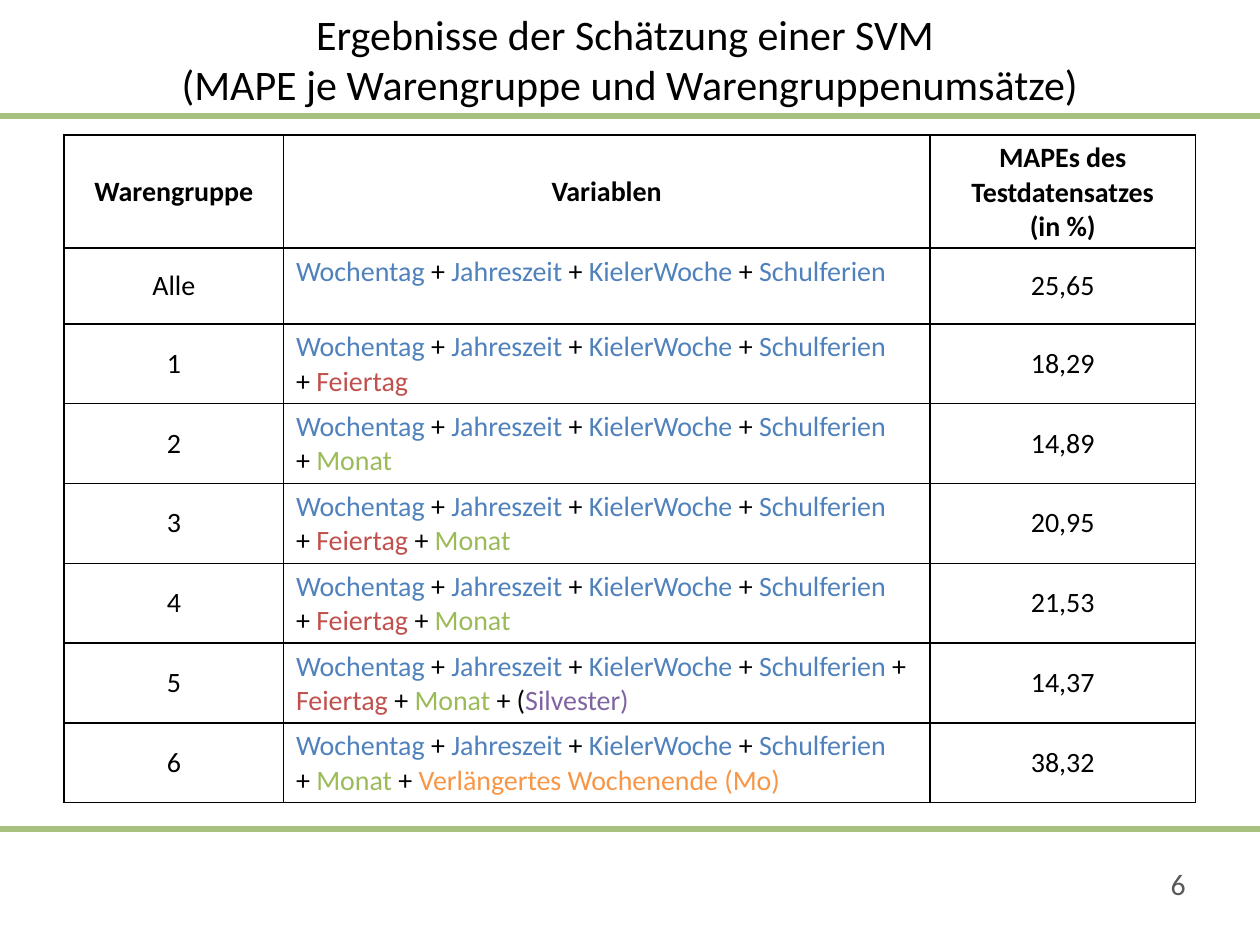
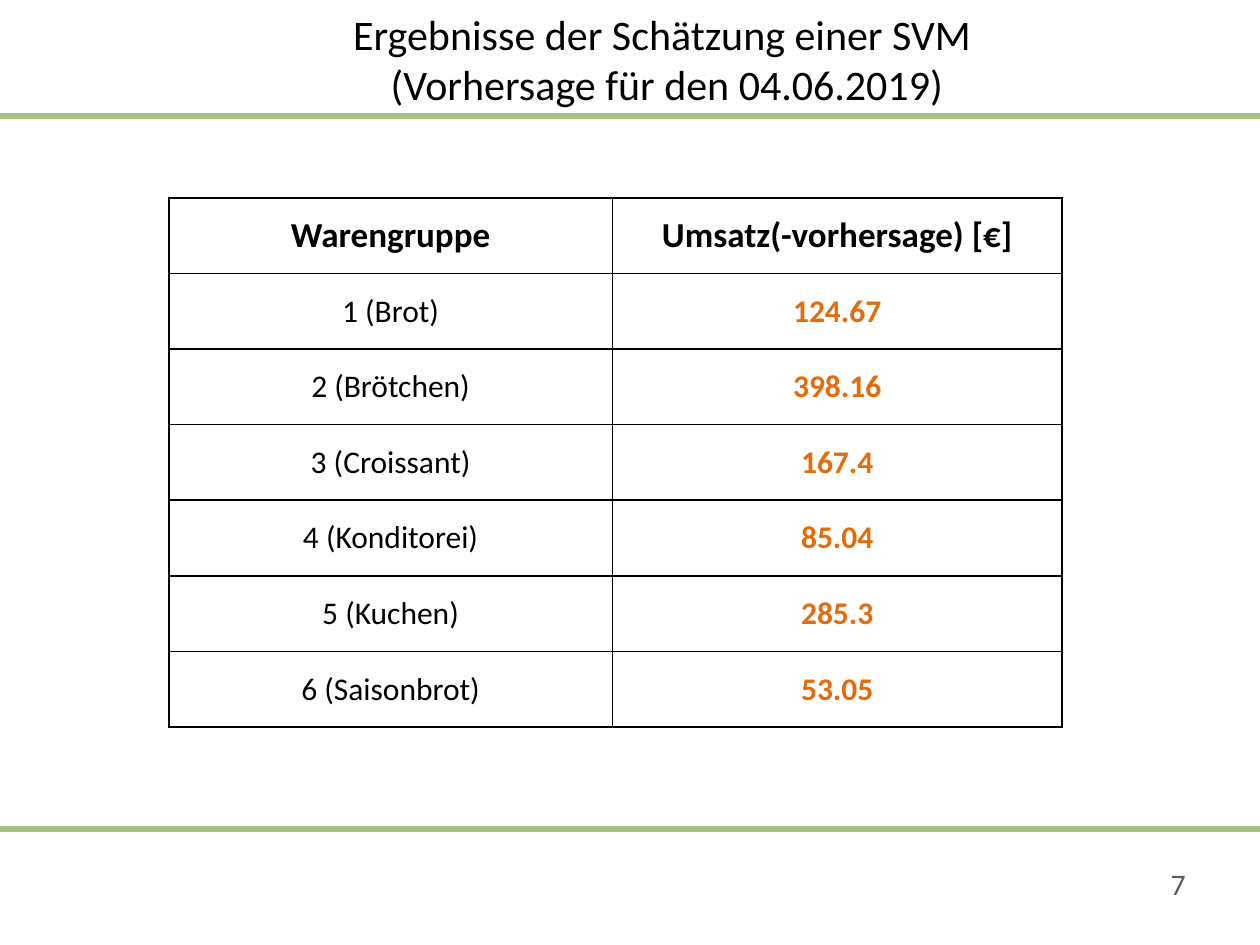
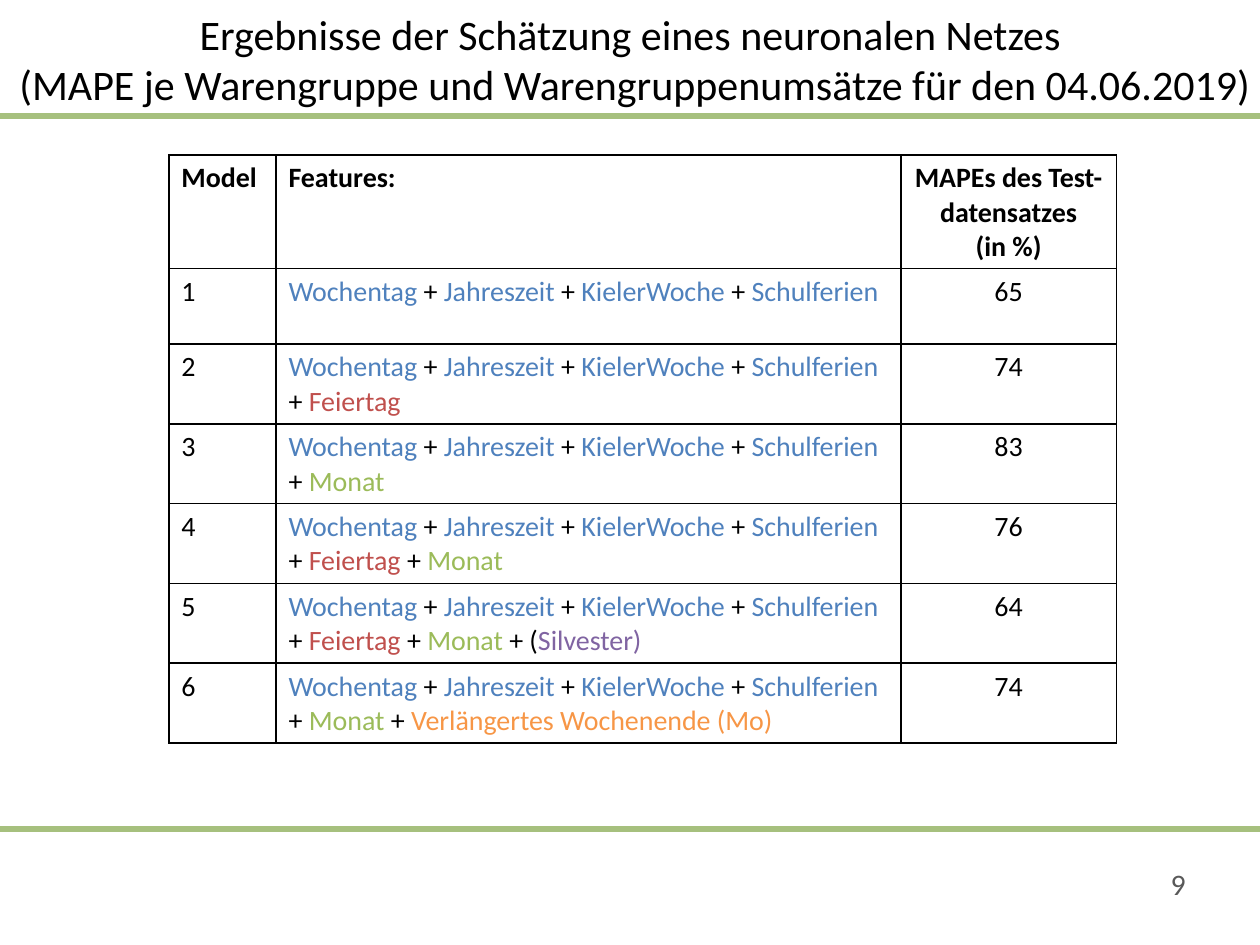
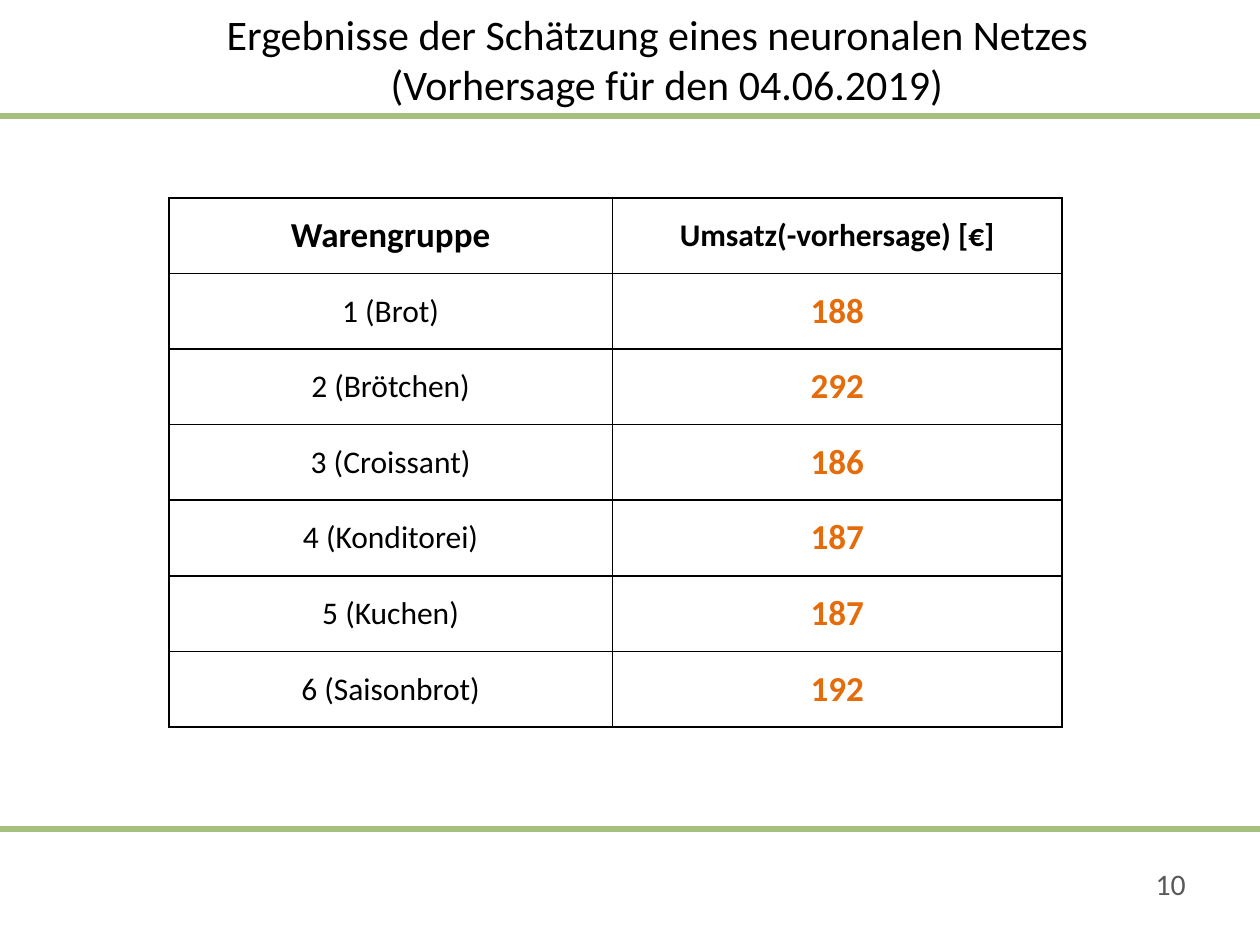
from dataclasses import dataclass

from lxml import etree
from pptx import Presentation
from pptx.dml.color import RGBColor
from pptx.enum.shapes import MSO_CONNECTOR
from pptx.enum.text import MSO_ANCHOR, PP_ALIGN
from pptx.oxml.ns import qn
from pptx.util import Inches, Pt

LEFT, CENTER, RIGHT = PP_ALIGN.LEFT, PP_ALIGN.CENTER, PP_ALIGN.RIGHT
TOP, MIDDLE = MSO_ANCHOR.TOP, MSO_ANCHOR.MIDDLE
STRAIGHT = MSO_CONNECTOR.STRAIGHT


@dataclass(frozen=True)
class Theme:
    font: str = "Calibri"
    text: str = "000000"
    band: str = "A6C07E"
    number: str = "595959"
    base: str = "4F81BD"
    holiday: str = "C0504D"
    month: str = "9BBB59"
    new_year: str = "8064A2"
    weekend: str = "F79646"
    forecast: str = "E46C0A"
    title_size: int = 24
    number_size: int = 17
    large: int = 20
    medium: int = 18
    small: int = 16
    band_width: int = 3
    border_width: int = 1


T = Theme()
WIDTH, HEIGHT = 10, 7.5
BANDS = (0.92, 6.58)
HEAD_ROW, ROW = 0.85, 0.6


@dataclass(frozen=True)
class Column:
    width: float
    head: str
    size: int = T.small
    head_size: int = T.small
    align: int = CENTER
    head_align: int = CENTER
    anchor: int = MIDDLE
    head_anchor: int = MIDDLE
    color: str = T.text
    bold: bool = False


BASE = ("Wochentag", "Jahreszeit", "KielerWoche", "Schulferien")
HOLIDAY, MONTH, NEW_YEAR = "Feiertag", "Monat", "Silvester)"
WEEKEND = "Verlängertes Wochenende (Mo)"
FEATURE_COLORS = {**dict.fromkeys(BASE, T.base), HOLIDAY: T.holiday, MONTH: T.month,
                  NEW_YEAR: T.new_year, WEEKEND: T.weekend}

FORMULAS = (
    (BASE,),
    (BASE, (HOLIDAY,)),
    (BASE, (MONTH,)),
    (BASE, (HOLIDAY, MONTH)),
    (BASE + (HOLIDAY, MONTH, NEW_YEAR),),
    (BASE, (MONTH, WEEKEND)),
)
SVM_FORMULAS = FORMULAS[:4] + FORMULAS[3:]
SVM_GROUPS = ("Alle", "1", "2", "3", "4", "5", "6")
SVM_MAPES = ("25,65", "18,29", "14,89", "20,95", "21,53", "14,37", "38,32")
NET_MODELS = ("1", "2", "3", "4", "5", "6")
NET_MAPES = ("65", "74", "83", "76", "64", "74")
GROUPS = ("1 (Brot)", "2 (Brötchen)", "3 (Croissant)", "4 (Konditorei)",
          "5 (Kuchen)", "6 (Saisonbrot)")
SVM_SALES = ("124.67", "398.16", "167.4", "85.04", "285.3", "53.05")
NET_SALES = ("188", "292", "186", "187", "187", "192")

SVM_COLUMNS = (
    Column(1.74, "Warengruppe"),
    Column(5.13, "Variablen", align=LEFT, anchor=TOP),
    Column(2.11, "MAPEs des Testdatensatzes\n(in %)", head_anchor=TOP),
)
NET_COLUMNS = (
    Column(0.85, "Model", align=LEFT, head_align=LEFT, anchor=TOP, head_anchor=TOP),
    Column(4.96, "Features:", align=LEFT, head_align=LEFT, anchor=TOP, head_anchor=TOP),
    Column(1.71, "MAPEs des Test-datensatzes\n(in %)", anchor=TOP, head_anchor=TOP),
)


def sales_columns(head_size, size):
    return (Column(3.52, "Warengruppe", T.medium, T.large),
            Column(3.57, "Umsatz(-vorhersage) [€]", size, head_size,
                   color=T.forecast, bold=True))


SLIDES = (
    dict(number=6, title_at=(0, WIDTH), table_at=(0.51, 1.07), head_row=HEAD_ROW,
         title=("Ergebnisse der Schätzung einer SVM ",
                "(MAPE je Warengruppe und Warengruppenumsätze)"),
         columns=SVM_COLUMNS, rows=tuple(zip(SVM_GROUPS, SVM_FORMULAS, SVM_MAPES))),
    dict(number=7, title_at=(0.51, 9.49), table_at=(1.34, 1.57), head_row=ROW,
         title=("Ergebnisse der Schätzung einer SVM", " (Vorhersage für den 04.06.2019)"),
         columns=sales_columns(T.large, T.medium), rows=tuple(zip(GROUPS, SVM_SALES))),
    dict(number=9, title_at=(-0.04, 10.16), table_at=(1.34, 1.23), head_row=HEAD_ROW,
         title=("Ergebnisse der Schätzung eines neuronalen Netzes ",
                "(MAPE je Warengruppe und Warengruppenumsätze für den 04.06.2019)"),
         columns=NET_COLUMNS, rows=tuple(zip(NET_MODELS, FORMULAS, NET_MAPES))),
    dict(number=10, title_at=(0.51, 9.49), table_at=(1.34, 1.57), head_row=ROW,
         title=("Ergebnisse der Schätzung eines neuronalen Netzes ",
                " (Vorhersage für den 04.06.2019)"),
         columns=sales_columns(T.medium, T.large), rows=tuple(zip(GROUPS, NET_SALES))),
)


def add_run(p, text, size, color=T.text, bold=False):
    r = p.add_run()
    r.text = text
    r.font.name = T.font
    r.font.size = Pt(size)
    r.font.bold = bold
    r.font.color.rgb = RGBColor.from_string(color)


def add_box(s, left, top, width, height, align, anchor):
    sp = s.shapes.add_textbox(*map(Inches, (left, top, width, height)))
    tf = sp.text_frame
    tf.word_wrap = True
    tf.vertical_anchor = anchor
    p = tf.paragraphs[0]
    p.alignment = align
    return p


def add_frame(s, title, title_at, number):
    for y in BANDS:
        line = s.shapes.add_connector(STRAIGHT, 0, Inches(y), Inches(WIDTH), Inches(y))
        line.line.color.rgb = RGBColor.from_string(T.band)
        line.line.width = Pt(T.band_width)
        etree.SubElement(line._element.spPr, qn("a:effectLst"))
    left, width = title_at
    p = add_box(s, left, 0.05, width, 0.83, CENTER, MIDDLE)
    add_run(p, title[0], T.title_size)
    p.add_line_break()
    add_run(p, title[1], T.title_size)
    p = add_box(s, 7.18, 6.82, 2.33, 0.4, RIGHT, TOP)
    add_run(p, str(number), T.number_size, T.number)


def formula_runs(features, continued):
    for i, name in enumerate(features):
        if i or continued:
            yield ("+ (" if name == NEW_YEAR else "+ "), T.text
        yield name + (" " if i < len(features) - 1 else ""), FEATURE_COLORS[name]


def cell_lines(content, color):
    if isinstance(content, str):
        return [[(line, color)] for line in content.split("\n")]
    return [list(formula_runs(features, i > 0)) for i, features in enumerate(content)]


def add_borders(cell):
    tc_pr = cell._tc.get_or_add_tcPr()
    for side in ("a:lnL", "a:lnR", "a:lnT", "a:lnB"):
        ln = etree.SubElement(tc_pr, qn(side), w=str(Pt(T.border_width)))
        fill = etree.SubElement(ln, qn("a:solidFill"))
        etree.SubElement(fill, qn("a:srgbClr"), val=T.text)


def fill_cell(cell, content, size, color, bold, align, anchor):
    add_borders(cell)
    cell.fill.background()
    cell.vertical_anchor = anchor
    tf = cell.text_frame
    for i, runs in enumerate(cell_lines(content, color)):
        p = tf.add_paragraph() if i else tf.paragraphs[0]
        p.alignment = align
        for text, run_color in runs:
            add_run(p, text, size, run_color, bold)


def add_grid(s, table_at, head_row, columns, rows):
    heights = [head_row] + [ROW] * len(rows)
    size = sum(c.width for c in columns), sum(heights)
    table = s.shapes.add_table(len(heights), len(columns),
                               *map(Inches, table_at + size)).table
    table.first_row = table.horz_banding = False
    for row, height in zip(table.rows, heights):
        row.height = Inches(height)
    for j, c in enumerate(columns):
        table.columns[j].width = Inches(c.width)
        fill_cell(table.cell(0, j), c.head, c.head_size, T.text, True,
                  c.head_align, c.head_anchor)
        for i, row in enumerate(rows, 1):
            fill_cell(table.cell(i, j), row[j], c.size, c.color, c.bold, c.align, c.anchor)


def main():
    prs = Presentation()
    prs.slide_width, prs.slide_height = Inches(WIDTH), Inches(HEIGHT)
    for page in SLIDES:
        s = prs.slides.add_slide(prs.slide_layouts[6])
        add_frame(s, page["title"], page["title_at"], page["number"])
        add_grid(s, page["table_at"], page["head_row"], page["columns"], page["rows"])
    prs.save("out.pptx")


if __name__ == "__main__":
    main()
